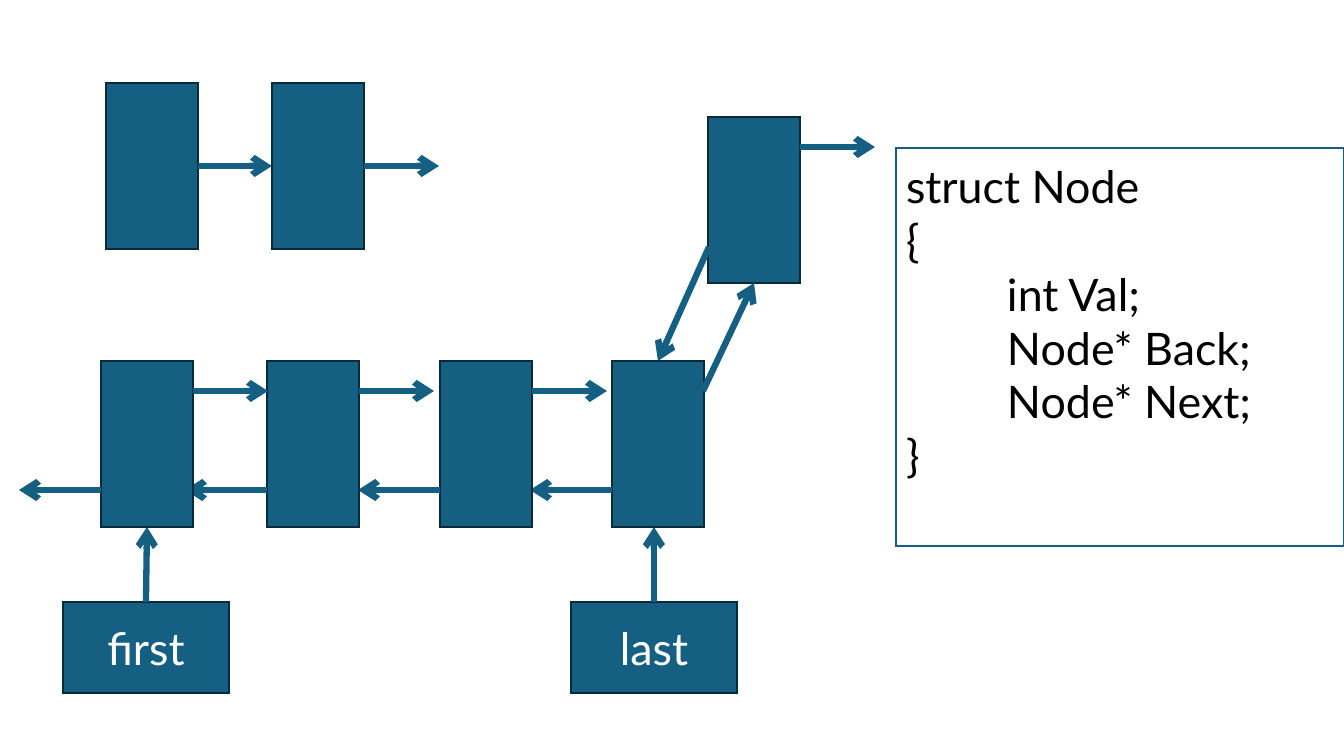
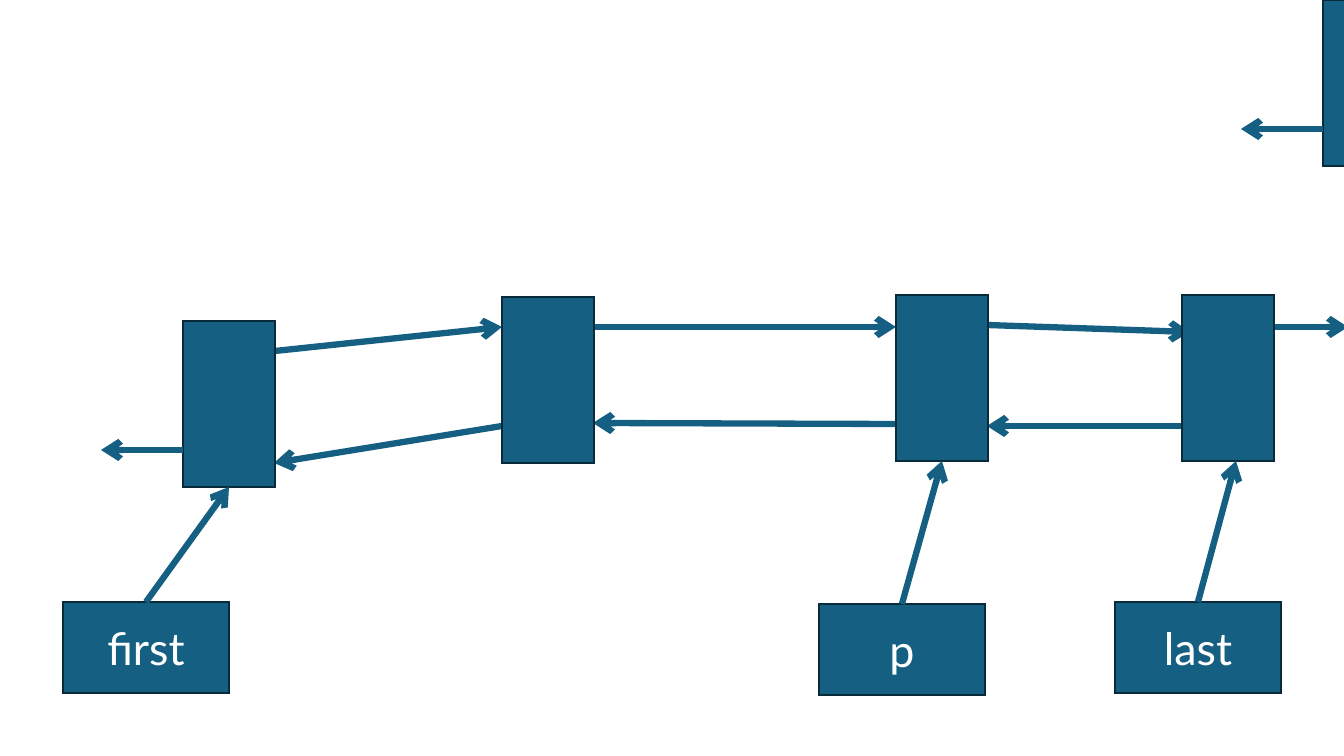
"""Build two slides of doubly linked list diagrams."""
import dataclasses

import lxml.etree
import pptx
import pptx.dml.color
import pptx.enum.shapes
import pptx.enum.text
import pptx.oxml.ns
import pptx.util

PX = 914400 / 100.8
NODE_W, NODE_H = 92, 166
LABEL_W, LABEL_H = 166, 91
NEXT_DY, BACK_DY = 30, 129
NEXT_LEN, BACK_LEN = 75, 82
TAB = 101
TOP, LEFT, BOTTOM, RIGHT = range(4)


@dataclasses.dataclass(frozen=True)
class Theme:
    """Colours, font and sizes shared by both slides."""
    fill: str = "156082"
    edge: str = "092A39"
    paper: str = "FFFFFF"
    ink: str = "000000"
    font: str = "Lato"
    text_pt: float = 32
    edge_pt: float = 1.5
    arrow_pt: float = 4.5


THEME = Theme()


def px(n):
    """Turn pixels into EMU."""
    return pptx.util.Emu(round(n * PX))


def rgb(code):
    """Turn a hex code into a colour."""
    return pptx.dml.color.RGBColor.from_string(code)


def add_xml(parent, tag, **attributes):
    """Append an empty drawing element."""
    lxml.etree.SubElement(parent, pptx.oxml.ns.qn(tag), **attributes)


def box(s, x, y, w, h, fill=THEME.fill, line=THEME.edge):
    """Add a rectangle with a plain fill and a sharp outline."""
    sp = s.shapes.add_shape(pptx.enum.shapes.MSO_SHAPE.RECTANGLE,
                            px(x), px(y), px(w), px(h))
    sp.shadow.inherit = False
    sp.fill.solid()
    sp.fill.fore_color.rgb = rgb(fill)
    sp.line.color.rgb = rgb(line)
    sp.line.width = pptx.util.Pt(THEME.edge_pt)
    add_xml(sp.line._get_or_add_ln(), "a:miter", lim="800000")
    return sp


def write(sp, text, color=THEME.paper, align="CENTER", anchor="MIDDLE"):
    """Write one paragraph per line of text into a shape."""
    tf = sp.text_frame
    tf.word_wrap = True
    tf.vertical_anchor = pptx.enum.text.MSO_ANCHOR[anchor]
    tf.text = text
    for p in tf.paragraphs:
        p.alignment = pptx.enum.text.PP_ALIGN[align]
        for r in p.runs:
            r.font.name = THEME.font
            r.font.size = pptx.util.Pt(THEME.text_pt)
            r.font.color.rgb = rgb(color)
    return tf


def node(s, x, y):
    """Add one list node."""
    return box(s, x, y, NODE_W, NODE_H)


def label(s, x, y, text):
    """Add a named pointer box."""
    sp = box(s, x, y, LABEL_W, LABEL_H)
    write(sp, text)
    return sp


def arrow(s, start, end):
    """Add an arrow between ends given as (x, y) or (shape, site)."""
    joined = [not isinstance(e[0], int) for e in (start, end)]
    points = [(0, 0) if j else e for j, e in zip(joined, (start, end))]
    cxn = s.shapes.add_connector(pptx.enum.shapes.MSO_CONNECTOR.STRAIGHT,
                                 *(px(n) for point in points for n in point))
    if joined[0]:
        cxn.begin_connect(*start)
    if joined[1]:
        cxn.end_connect(*end)
    cxn.line.color.rgb = rgb(THEME.fill)
    cxn.line.width = pptx.util.Pt(THEME.arrow_pt)
    add_xml(cxn.line._get_or_add_ln(), "a:tailEnd", type="arrow")
    add_xml(cxn._element.spPr, "a:effectLst")


def next_arrow(s, x, y):
    """Add the short next arrow of the node at x, y."""
    x, y = x + NODE_W, y + NEXT_DY
    arrow(s, (x, y), (x + NEXT_LEN, y))


def back_arrow(s, x, y):
    """Add the short back arrow of the node at x, y."""
    arrow(s, (x, y + BACK_DY), (x - BACK_LEN, y + BACK_DY))


def code_box(s, x, y, w, h, code):
    """Add an outlined box of code."""
    sp = box(s, x, y, w, h, fill=THEME.paper, line=THEME.fill)
    tf = write(sp, code, color=THEME.ink, align="LEFT", anchor="TOP")
    tf.margin_left, tf.margin_top = px(10), px(11)
    for p in tf.paragraphs:
        p._p.get_or_add_pPr().set("defTabSz", str(px(TAB)))


def append_slide(s):
    """Draw a singly linked pair and a list that gains a node at its end."""
    one, two = (node(s, x, 83) for x in (106, 272))
    arrow(s, (one, RIGHT), (two, LEFT))
    arrow(s, (two, RIGHT), (439, 166))

    y = 361
    last = node(s, 612, y)
    back_arrow(s, 612, y)
    for x in (440, 267, 101):
        first = node(s, x, y)
        next_arrow(s, x, y)
        back_arrow(s, x, y)

    added = node(s, 708, 117)
    next_arrow(s, 708, 117)
    arrow(s, (703, 391), (added, BOTTOM))
    arrow(s, (709, 247), (last, TOP))

    arrow(s, (label(s, 63, 602, "first"), TOP), (first, BOTTOM))
    arrow(s, (label(s, 571, 602, "last"), TOP), (654, y + NODE_H))
    code_box(s, 896, 148, 448, 398,
             "struct Node\v{\n\tint Val;\n\tNode* Back;\n\tNode* Next;\n}")


def insert_slide(s):
    """Draw a list with a pointer p to one of its inner nodes."""
    links = [((275, 351), (502, 327)), ((502, 426), (274, 463)),
             ((594, 327), (896, 327)), ((896, 424), (593, 423)),
             ((987, 325), (1190, 332)), ((1182, 426), (987, 426)),
             ((1274, 327), (1348, 327))]
    for start, end in links:
        arrow(s, start, end)
    spots = [(183, 321), (502, 297), (896, 295), (1182, 295), (1323, 0)]
    nodes = [node(s, x, y) for x, y in spots]
    for spot in (spots[0], spots[-1]):
        back_arrow(s, *spot)

    arrow(s, (label(s, 63, 602, "first"), TOP), (nodes[0], BOTTOM))
    arrow(s, (label(s, 819, 604, "p"), TOP), (nodes[2], BOTTOM))
    arrow(s, (label(s, 1115, 602, "last"), TOP), (1236, 461))


def main():
    """Build and save the presentation."""
    prs = pptx.Presentation()
    prs.slide_width, prs.slide_height = px(1344), px(756)
    for draw in (append_slide, insert_slide):
        draw(prs.slides.add_slide(prs.slide_layouts[6]))
    prs.save("out.pptx")


if __name__ == "__main__":
    main()
